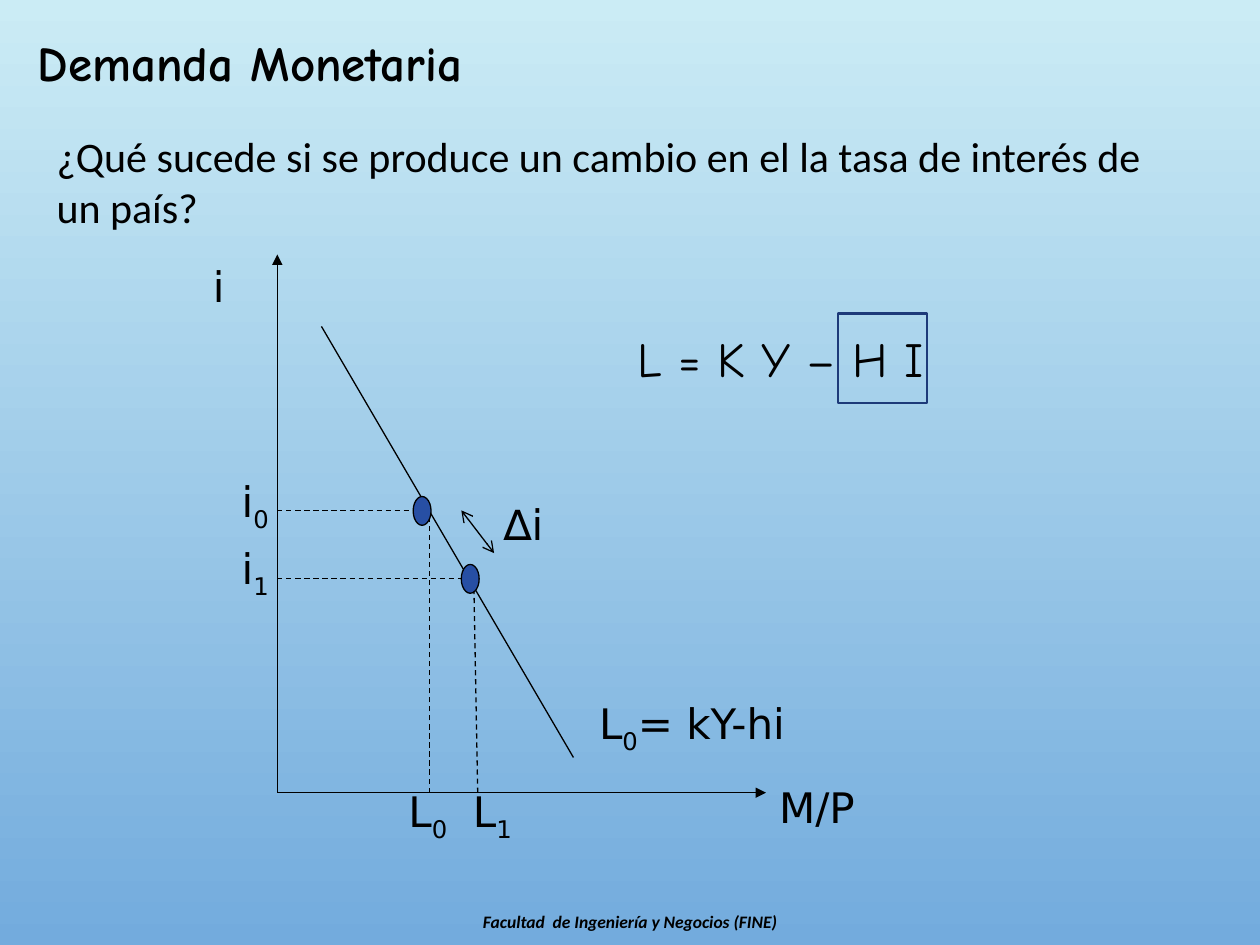
"""Build the slide on money demand and a change in the interest rate."""
from lxml import etree
from pptx import Presentation
from pptx.dml.color import RGBColor
from pptx.enum.dml import MSO_LINE
from pptx.enum.shapes import MSO_CONNECTOR, MSO_SHAPE
from pptx.enum.text import MSO_ANCHOR, MSO_AUTO_SIZE, PP_ALIGN
from pptx.oxml.ns import qn
from pptx.util import Cm, Pt

BLACK = RGBColor(0x00, 0x00, 0x00)
SKY = RGBColor(0xCB, 0xEC, 0xF5)
BLUE = RGBColor(0x73, 0xAB, 0xDD)
DOT_BLUE = RGBColor(0x27, 0x4F, 0xA4)
FRAME_BLUE = RGBColor(0x1D, 0x3A, 0x79)
LEFT, CENTER = PP_ALIGN.LEFT, PP_ALIGN.CENTER
DASH = MSO_LINE.DASH
STRAIGHT = MSO_CONNECTOR.STRAIGHT
OVAL, RECT = MSO_SHAPE.OVAL, MSO_SHAPE.RECTANGLE
TOP, NO_FIT = MSO_ANCHOR.TOP, MSO_AUTO_SIZE.NONE
HAND, BODY, LABEL = "Comic Neue", "Calibri", "DejaVu Sans"

TITLE = "Demanda Monetaria"
QUESTION = "¿Qué sucede si se produce un cambio en el la tasa de interés de un país?"
EQUATION = "L = K Y – H I"
FOOTER = "Facultad  de Ingeniería y Negocios (FINE)"

X0, Y0 = 5.59, 15.98
I0, I1 = 10.29, 11.66
L0, L1 = 8.66, 9.63
LABEL_H = 1.19
DOT_W, DOT_H = 0.36, 0.58

LABELS = [
    (("∆i",), 9.55, 9.93, 2.01),
    (("L", "0", "= kY-hi"), 10.52, 13.94, 6.86),
    (("i",), 3.51, 5.13, 1.8),
    (("M/P",), 13.64, 15.62, 5.66),
    (("L", "0"), 7.62, 15.72, 2.01),
    (("L", "1"), 8.92, 15.72, 2.01),
    (("i", "0"), 4.14, 9.47, 2.01),
    (("i", "1"), 4.14, 10.82, 2.01),
]
AXES = [(X0, Y0, X0, 5.13), (X0, Y0, 15.44, Y0)]
DEMAND = (6.48, 6.58, 11.56, 15.27)
GUIDES = [
    (X0, I0, L0, I0),
    (X0, I1, L1, I1),
    (L1, Y0, 9.55, I1),
    (L0, Y0, L0, I0),
]
CHANGE = (9.3, I0, 9.96, 11.15)
DOTS = [(9.3, 11.38), (8.33, 10.01)]


def write(s, text, font, size, align=LEFT, bold=False, italic=False):
    tf = s.text_frame
    tf.text = text
    tf.word_wrap = True
    tf.auto_size = NO_FIT
    tf.vertical_anchor = TOP
    p = tf.paragraphs[0]
    p.alignment = align
    p.space_before = Pt(0)
    for r in p.runs:
        style(r, font, size, bold, italic)
    return p


def style(r, font, size, bold=False, italic=False):
    r.font.name = font
    r.font.size = Pt(size)
    r.font.bold = bold
    r.font.italic = italic
    r.font.color.rgb = BLACK


def add_text(sp, box, *args, **kwargs):
    return write(sp.add_textbox(*map(Cm, box)), *args, **kwargs)


def add_label(sp, parts, x, y, w):
    p = add_text(sp, (x, y, w, LABEL_H), parts[0], LABEL, 24, CENTER)
    for i, part in enumerate(parts[1:]):
        r = p.add_run()
        r.text = part
        style(r, LABEL, 24)
        if i == 0:
            r.font._element.set("baseline", "-25000")


def add_line(sp, ends, dash=None, head=None, tail=None):
    c = sp.add_connector(STRAIGHT, *map(Cm, ends))
    c.line.color.rgb = BLACK
    c.line.width = Pt(0.75)
    if dash:
        c.line.dash_style = dash
    ln = c.line._get_or_add_ln()
    for tag, kind in (("a:headEnd", head), ("a:tailEnd", tail)):
        if kind:
            etree.SubElement(ln, qn(tag)).set("type", kind)
    etree.SubElement(c._element.spPr, qn("a:effectLst"))


def add_outline(sp, kind, box, color, width):
    s = sp.add_shape(kind, *map(Cm, box))
    s.shadow.inherit = False
    s.line.color.rgb = color
    s.line.width = Pt(width)
    return s


def main():
    prs = Presentation()
    prs.slide_width, prs.slide_height = Cm(25.4), Cm(19.05)
    slide = prs.slides.add_slide(prs.slide_layouts[5])
    sp = slide.shapes

    fill = slide.background.fill
    fill.gradient()
    fill.gradient_angle = 270
    for stop, color in zip(fill.gradient_stops, (SKY, BLUE)):
        stop.color.rgb = color

    title = sp.title
    title.left, title.top, title.width, title.height = map(Cm, (0.51, 0.53, 17.35, 1.45))
    write(title, TITLE, HAND, 28, bold=True)

    p = add_text(sp, (7.16, 6.73, 17.15, 1.6), EQUATION, HAND, 28, CENTER)
    p.line_spacing = 0.8

    for label in LABELS:
        add_label(sp, *label)
    for axis in AXES:
        add_line(sp, axis, tail="triangle")
    add_line(sp, DEMAND)
    for guide in GUIDES:
        add_line(sp, guide, dash=DASH)
    add_line(sp, CHANGE, head="arrow", tail="arrow")

    for x, y in DOTS:
        dot = add_outline(sp, OVAL, (x, y, DOT_W, DOT_H), BLACK, 0.75)
        dot.fill.solid()
        dot.fill.fore_color.rgb = DOT_BLUE
    frame = add_outline(sp, RECT, (16.89, 6.32, 1.8, 1.8), FRAME_BLUE, 1.25)
    frame.fill.background()

    add_text(sp, (0.89, 2.51, 22.86, 6.07), QUESTION, BODY, 24)
    add_text(sp, (6.5, 18.24, 12.4, 0.69), FOOTER, BODY, 10, CENTER, bold=True, italic=True)
    prs.save("out.pptx")


if __name__ == "__main__":
    main()
